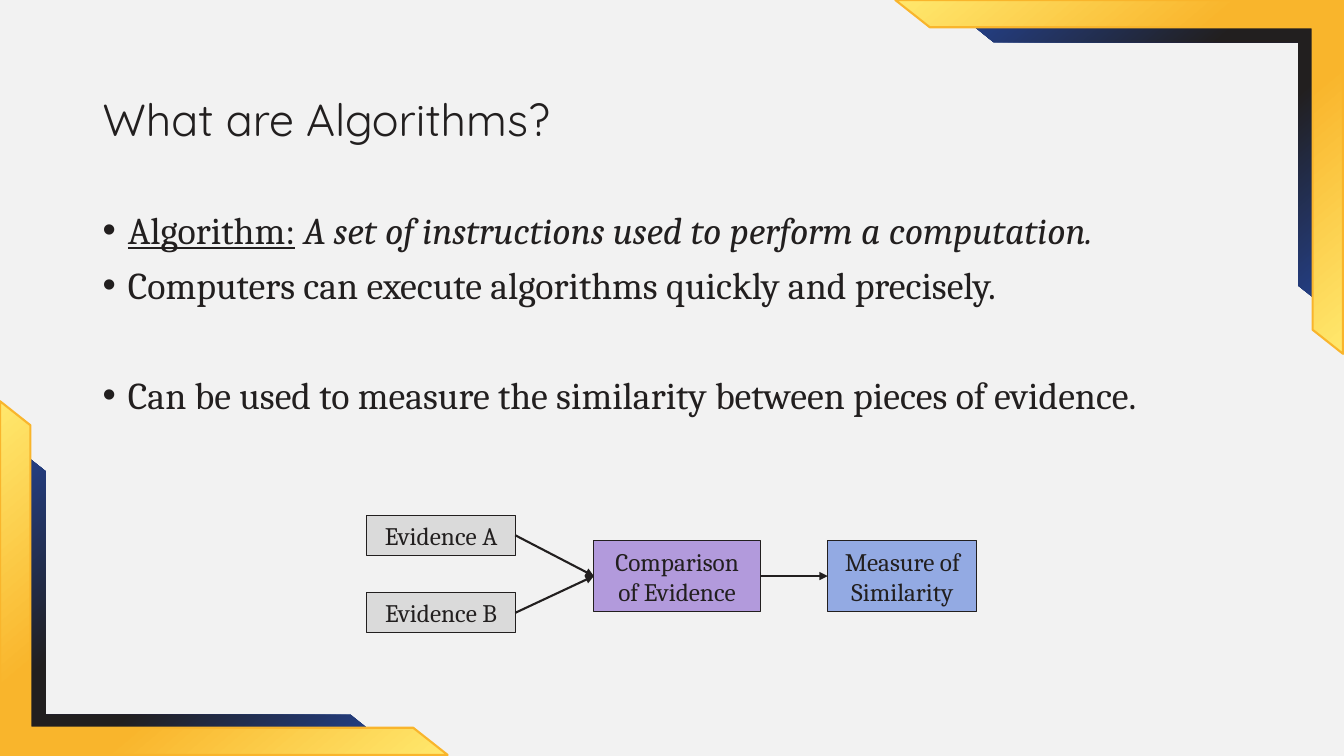
from typing import NamedTuple

from lxml.etree import SubElement
from pptx import Presentation
from pptx.dml.color import RGBColor
from pptx.enum.shapes import MSO_CONNECTOR, MSO_SHAPE
from pptx.enum.text import MSO_ANCHOR, PP_ALIGN
from pptx.oxml.ns import qn
from pptx.util import Inches, Pt

COLORS = {
    "paper": "F2F2F2", "ink": "221F1F", "navy": "234089",
    "gold": "F9B52C", "lemon": "FFE86D",
    "grey": "DADADA", "purple": "B29ADC", "blue": "93AAE3",
}
TITLE = {"size": Pt(32), "name": "Quicksand"}
BODY = {"size": Pt(27), "name": "Cambria"}
LABEL = {"size": Pt(18), "name": "Cambria"}


class Frame(NamedTuple):
    left: float
    top: float
    width: float
    height: float
    turn: int
    ends: str
    core: str
    edge: str


class Box(NamedTuple):
    text: str
    left: float
    top: float
    width: float
    height: float
    color: str


class Link(NamedTuple):
    start: str
    end: str


class Bullet(NamedTuple):
    gap: float
    runs: list


FRAMES = [
    Frame(0.21, 4.48, 3.54, 2.83, 0, "navy", "ink", ""),
    Frame(0, 3.98, 4.44, 3.51, 0, "lemon", "gold", "gold"),
    Frame(9.58, 0.2, 3.54, 2.83, 180, "navy", "ink", ""),
    Frame(8.88, 0, 4.44, 3.51, 180, "lemon", "gold", "gold"),
]
BOXES = [
    Box("Evidence A", 3.64, 5.11, 1.47, 0.4, "grey"),
    Box("Evidence B", 3.64, 5.88, 1.47, 0.4, "grey"),
    Box("Comparison of Evidence", 5.89, 5.36, 1.65, 0.71, "purple"),
    Box("Measure of Similarity", 8.21, 5.36, 1.48, 0.71, "blue"),
]
LINKS = [
    Link("Evidence A", "Comparison of Evidence"),
    Link("Evidence B", "Comparison of Evidence"),
    Link("Comparison of Evidence", "Measure of Similarity"),
]
BULLETS = [
    Bullet(0, [("Algorithm:", {"underline": True}),
               (" A set of instructions used to perform a computation.", {"italic": True})]),
    Bullet(10, [("Computers can execute algorithms quickly and precisely.", {})]),
    Bullet(49.5, [("Can be used to measure the similarity between pieces of evidence.", {})]),
]


def tint(name: str) -> RGBColor:
    return RGBColor.from_string(COLORS[name])


def style(font, form: dict) -> None:
    for key, value in form.items():
        setattr(font, key, value)
    font.color.rgb = tint("ink")


def place(item) -> list:
    return [Inches(n) for n in (item.left, item.top, item.width, item.height)]


def outline(shape, color: str, width: float) -> None:
    shape.line.color.rgb = tint(color)
    shape.line.width = Pt(width)


def draw_frame(slide, frame: Frame) -> None:
    shape = slide.shapes.add_shape(MSO_SHAPE.HALF_FRAME, *place(frame))
    shape.shadow.inherit = False
    shape.adjustments[0] = 0.077
    shape.adjustments[1] = 0.086
    shape.rotation = frame.turn
    shape._element.spPr.find(qn("a:xfrm")).set("flipV", "1")
    shape.fill.gradient()
    shape.fill.gradient_angle = 230
    stops = shape._element.spPr.find(".//" + qn("a:gsLst"))
    for stop in list(stops):
        stops.remove(stop)
    for spot in (0, 40, 50, 60, 100):
        name = frame.ends if spot in (0, 100) else frame.core
        stop = SubElement(stops, qn("a:gs"), pos=str(spot * 1000))
        SubElement(stop, qn("a:srgbClr"), val=COLORS[name])
    if frame.edge:
        outline(shape, frame.edge, 1.5)
    else:
        shape.line.fill.background()


def draw_title(slide) -> None:
    area = slide.shapes.add_textbox(Inches(0.92), Inches(0.48), Inches(10.56), Inches(1.45))
    text = area.text_frame
    text.word_wrap = True
    text.vertical_anchor = MSO_ANCHOR.MIDDLE
    para = text.paragraphs[0]
    para.text = "What are Algorithms?"
    para.line_spacing = 0.9
    style(para.runs[0].font, TITLE)


def draw_body(slide) -> None:
    area = slide.shapes.add_textbox(Inches(0.92), Inches(2.05), Inches(11.5), Inches(3.07))
    text = area.text_frame
    text.word_wrap = True
    for order, bullet in enumerate(BULLETS):
        para = text.add_paragraph() if order else text.paragraphs[0]
        para.line_spacing = 0.9
        para.space_before = Pt(bullet.gap)
        props = para._p.get_or_add_pPr()
        props.set("marL", str(Inches(0.25)))
        props.set("indent", str(Inches(-0.25)))
        SubElement(props, qn("a:buFont"), typeface="Arial")
        SubElement(props, qn("a:buChar"), char="•")
        for words, extra in bullet.runs:
            run = para.add_run()
            run.text = words
            style(run.font, {**BODY, **extra})


def draw_box(slide, box: Box):
    shape = slide.shapes.add_shape(MSO_SHAPE.RECTANGLE, *place(box))
    shape.shadow.inherit = False
    shape.fill.solid()
    shape.fill.fore_color.rgb = tint(box.color)
    outline(shape, "ink", 0.75)
    shape.text_frame.word_wrap = True
    para = shape.text_frame.paragraphs[0]
    para.text = box.text
    para.alignment = PP_ALIGN.CENTER
    style(para.runs[0].font, LABEL)
    return shape


def draw_link(slide, start, end) -> None:
    arrow = slide.shapes.add_connector(MSO_CONNECTOR.STRAIGHT, 0, 0, 0, 0)
    arrow.begin_connect(start, 3)
    arrow.end_connect(end, 1)
    outline(arrow, "ink", 1.5)
    SubElement(arrow.line._get_or_add_ln(), qn("a:tailEnd"), type="triangle")
    SubElement(arrow._element.spPr, qn("a:effectLst"))


def main() -> None:
    deck = Presentation()
    deck.slide_width = Inches(13.33)
    deck.slide_height = Inches(7.5)
    slide = deck.slides.add_slide(deck.slide_layouts[6])
    slide.background.fill.solid()
    slide.background.fill.fore_color.rgb = tint("paper")
    for frame in FRAMES:
        draw_frame(slide, frame)
    draw_title(slide)
    draw_body(slide)
    shapes = {box.text: draw_box(slide, box) for box in BOXES}
    for link in LINKS:
        draw_link(slide, shapes[link.start], shapes[link.end])
    deck.save("out.pptx")


if __name__ == "__main__":
    main()
